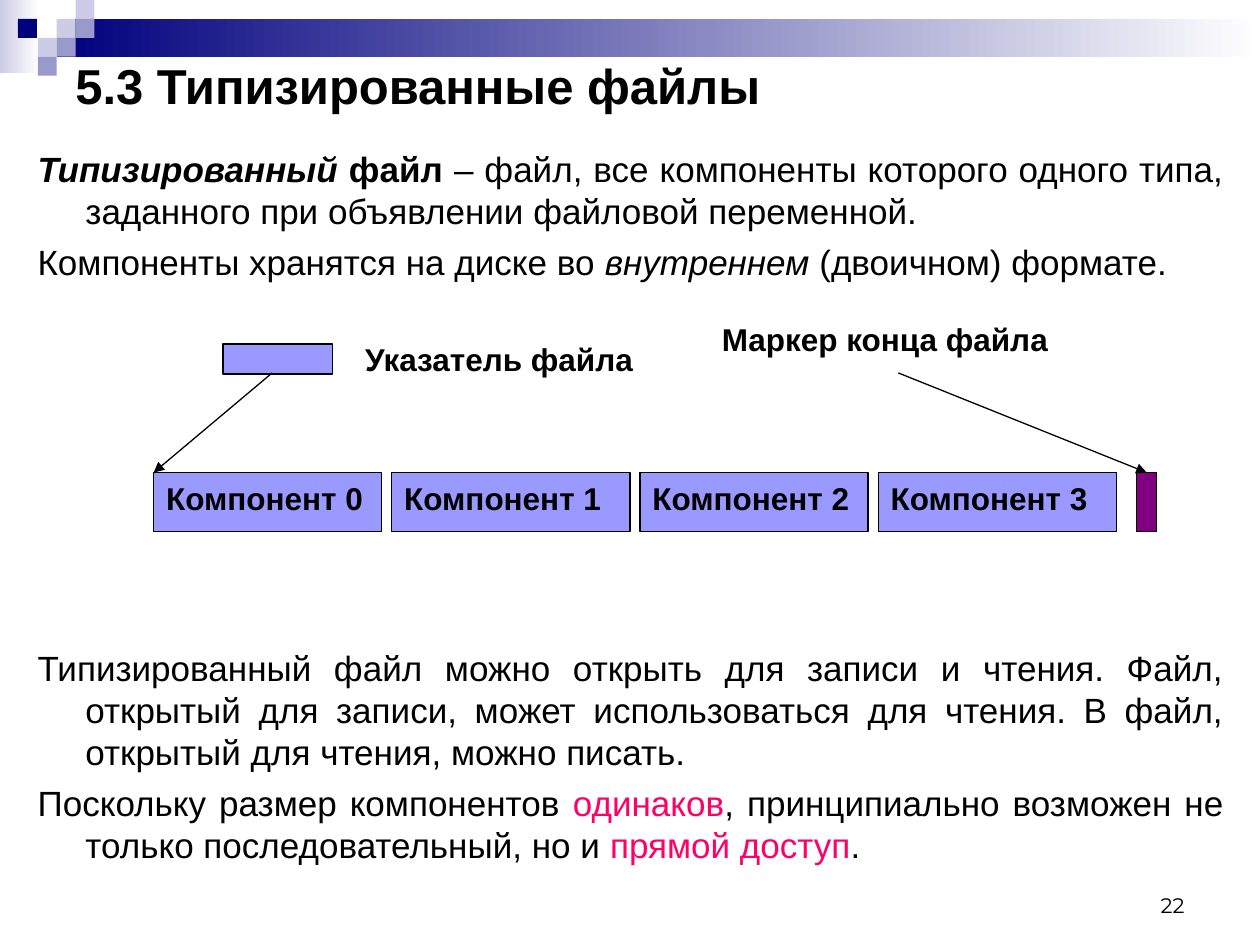
"""Build the slide on typed files with its component diagram."""
import pptx
import pptx.dml.color
import pptx.enum.shapes
import pptx.enum.text
import pptx.oxml
import pptx.oxml.ns
import pptx.util

BLACK = pptx.dml.color.RGBColor(0x00, 0x00, 0x00)
WHITE = pptx.dml.color.RGBColor(0xFF, 0xFF, 0xFF)
NAVY = pptx.dml.color.RGBColor(0x00, 0x00, 0x7D)
LAVENDER = pptx.dml.color.RGBColor(0xCC, 0xCC, 0xE6)
SLATE = pptx.dml.color.RGBColor(0x99, 0x99, 0xCC)
PERIWINKLE = pptx.dml.color.RGBColor(0x99, 0x99, 0xFF)
PURPLE = pptx.dml.color.RGBColor(0x80, 0x00, 0x80)
PINK = pptx.dml.color.RGBColor(0xFF, 0x00, 0x66)
RECTANGLE = pptx.enum.shapes.MSO_SHAPE.RECTANGLE
ALIGN = pptx.enum.text.PP_ALIGN
ANCHOR = pptx.enum.text.MSO_ANCHOR
Inches = pptx.util.Inches
Pt = pptx.util.Pt

presentation = pptx.Presentation()
presentation.slide_width = Inches(10)
presentation.slide_height = Inches(7.5)
slide = presentation.slides.add_slide(presentation.slide_layouts[6])


def add_rectangle(left, top, width, height, color, outlined=False, fade=False):
    shape = slide.shapes.add_shape(
        RECTANGLE, Inches(left), Inches(top), Inches(width), Inches(height))
    shape.shadow.inherit = False
    if fade:
        shape.fill.gradient()
        shape.fill.gradient_angle = 0
        for stop, stop_color, position in zip(
                shape.fill.gradient_stops, (color, WHITE), (0, 1)):
            stop.color.rgb = stop_color
            stop.position = position
    else:
        shape.fill.solid()
        shape.fill.fore_color.rgb = color
    if outlined:
        shape.line.color.rgb = BLACK
        shape.line.width = Pt(0.75)
    else:
        shape.line.fill.background()


def add_text(left, top, width, height, paragraphs, size, bold=False,
             align=ALIGN.LEFT, anchor=ANCHOR.TOP, font="Arial", before=0, hanging=0):
    frame = slide.shapes.add_textbox(
        Inches(left), Inches(top), Inches(width), Inches(height)).text_frame
    frame.word_wrap = True
    frame.vertical_anchor = anchor
    for index, runs in enumerate(paragraphs):
        paragraph = frame.add_paragraph() if index else frame.paragraphs[0]
        paragraph.alignment = align
        paragraph.space_before = Pt(before)
        paragraph.font.name = font
        paragraph.font.size = Pt(size)
        paragraph.font.bold = bold
        paragraph.font.color.rgb = BLACK
        if hanging:
            properties = paragraph._p.get_or_add_pPr()
            properties.set("marL", str(Inches(hanging)))
            properties.set("indent", str(-Inches(hanging)))
        for text, style in runs:
            run = paragraph.add_run()
            run.text = text
            if "b" in style:
                run.font.bold = True
            if "i" in style:
                run.font.italic = True
            if "p" in style:
                run.font.color.rgb = PINK


add_rectangle(0, 0, 0.31, 0.58, LAVENDER, fade=True)
add_rectangle(0.45, 0.15, 9.55, 0.3, NAVY, fade=True)
tile = 0.15
for column, row, color in [
        (3, 1, LAVENDER), (4, 0, LAVENDER), (4, 1, SLATE), (2, 2, LAVENDER),
        (0.95, 1, NAVY), (3, 2, SLATE), (2, 3, SLATE)]:
    add_rectangle(column * tile, row * tile, tile, tile, color)

add_text(7.17, 6.83, 2.33, 0.5, [[("22", "")]], 12,
         align=ALIGN.RIGHT, anchor=ANCHOR.BOTTOM, font="Montserrat")
add_text(0.5, 0.44, 9, 0.47, [[("5.3 Типизированные файлы", "")]], 28,
         bold=True, anchor=ANCHOR.MIDDLE)

introduction = [
    [("Типизированный", "bi"), (" файл", "b"),
     (" – файл, все компоненты которого одного типа, "
      "заданного при объявлении файловой переменной.", "")],
    [("Компоненты хранятся на диске во ", ""), ("внутреннем ", "i"),
     ("(двоичном) формате.", "")]]
conclusion = [
    [("Типизированный файл можно открыть для записи и чтения. Файл, открытый для "
      "записи, может использоваться для чтения. В файл, открытый для чтения, "
      "можно писать.", "")],
    [("Поскольку размер компонентов", ""), (" одинаков", "p"),
     (", принципиально возможен не только последовательный, но и", ""),
     (" прямой доступ", "p"), (".", "")]]
for top, height, paragraphs in [(1.12, 1.25, introduction), (5.08, 1.9, conclusion)]:
    add_text(0.2, top, 9.61, height, paragraphs, 20,
             align=ALIGN.JUSTIFY, before=5, hanging=0.38)

component_top, component_height = 3.75, 0.47
add_rectangle(1.77, 2.73, 0.87, 0.24, PERIWINKLE, outlined=True)
for number, (left, width) in enumerate(
        [(1.22, 1.81), (3.11, 1.89), (5.08, 1.81), (6.97, 1.89)]):
    add_rectangle(left, component_top, width, component_height, PERIWINKLE, outlined=True)
    add_text(left, component_top, 1.97, 0.4, [[(f"Компонент {number}", "")]], 18, bold=True)
add_rectangle(9.02, component_top, 0.16, component_height, PURPLE, outlined=True)

add_text(2.8, 2.65, 2.6, 0.4, [[("Указатель файла", "")]], 18, bold=True)
add_text(5.63, 2.49, 3.62, 0.4, [[("Маркер конца файла", "")]], 18, bold=True)
for start, end in [(2.16, 1.22), (7.13, 9.1)]:
    connector = slide.shapes.add_connector(
        pptx.enum.shapes.MSO_CONNECTOR.STRAIGHT,
        Inches(start), Inches(2.96), Inches(end), Inches(component_top))
    connector.line.color.rgb = BLACK
    connector.line.width = Pt(0.75)
    arrowhead = pptx.oxml.parse_xml(
        f'<a:tailEnd {pptx.oxml.ns.nsdecls("a")} type="triangle"/>')
    connector.line._get_or_add_ln().append(arrowhead)
    effects = pptx.oxml.parse_xml(f'<a:effectLst {pptx.oxml.ns.nsdecls("a")}/>')
    connector._element.spPr.append(effects)

presentation.save("out.pptx")
